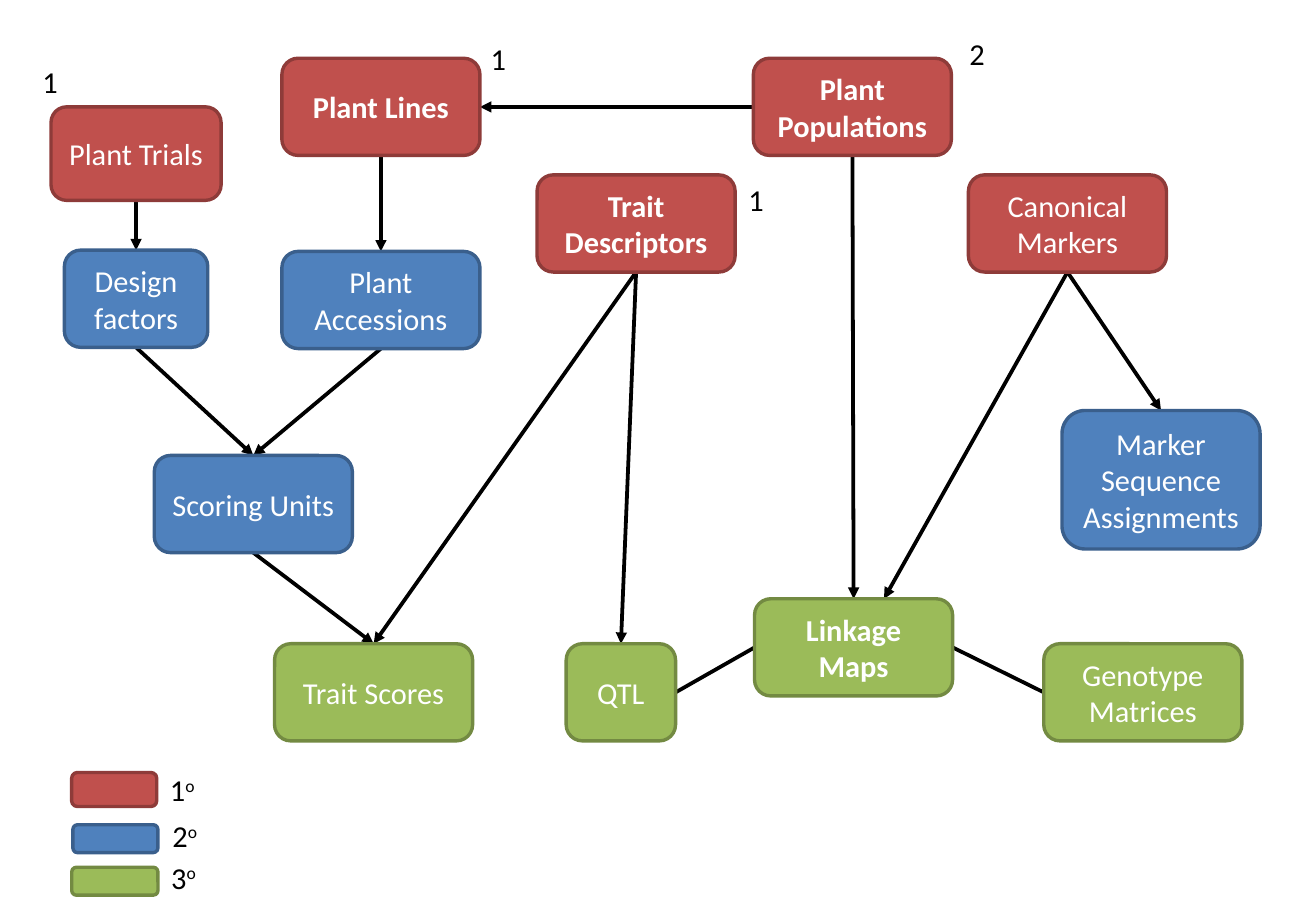
"""Build a slide of plant data entities, graded by level and linked by arrows."""
from dataclasses import dataclass
from enum import IntEnum

import pptx
import pptx.dml.color
import pptx.enum.shapes
import pptx.enum.text
import pptx.oxml
import pptx.oxml.ns
import pptx.shapes.autoshape
import pptx.shapes.connector
import pptx.slide
import pptx.text.text
import pptx.util

EMU_PER_PX = 9144
FONT_NAME = "Calibri"
FONT_SIZE = pptx.util.Pt(18)
BLACK = pptx.dml.color.RGBColor(0x00, 0x00, 0x00)
WHITE = pptx.dml.color.RGBColor(0xFF, 0xFF, 0xFF)
RED = pptx.dml.color.RGBColor(0xC0, 0x50, 0x4D)
DARK_RED = pptx.dml.color.RGBColor(0x8E, 0x3B, 0x39)
BLUE = pptx.dml.color.RGBColor(0x4F, 0x81, 0xBD)
DARK_BLUE = pptx.dml.color.RGBColor(0x3A, 0x5F, 0x8C)
GREEN = pptx.dml.color.RGBColor(0x9B, 0xBB, 0x59)
DARK_GREEN = pptx.dml.color.RGBColor(0x73, 0x8A, 0x42)


class Site(IntEnum):
    TOP = 0
    LEFT = 1
    BOTTOM = 2
    RIGHT = 3


@dataclass(frozen=True)
class Level:
    fill: pptx.dml.color.RGBColor
    outline: pptx.dml.color.RGBColor


@dataclass(frozen=True)
class Box:
    text: str
    level: Level
    left: int
    top: int
    width: int = 163
    height: int = 80
    bold: bool = False


@dataclass(frozen=True)
class Link:
    source: str
    target: str
    source_site: Site = Site.BOTTOM
    target_site: Site = Site.TOP
    arrow: bool = True
    shift: int = 0


@dataclass(frozen=True)
class Label:
    text: str
    left: int
    top: int
    width: int = 33
    superscript: str = ""


PRIMARY = Level(RED, DARK_RED)
SECONDARY = Level(BLUE, DARK_BLUE)
TERTIARY = Level(GREEN, DARK_GREEN)

ENTITIES = [
    Box("Plant Lines", PRIMARY, 232, 48, bold=True),
    Box("Plant Populations", PRIMARY, 620, 48, bold=True),
    Box("Linkage Maps", TERTIARY, 621, 493, bold=True),
    Box("Canonical Markers", PRIMARY, 797, 144),
    Box("Trait Descriptors", PRIMARY, 442, 144, bold=True),
    Box("Plant Trials", PRIMARY, 42, 88, 140, 77),
    Box("Marker Sequence Assignments", SECONDARY, 874, 338, height=114),
    Box("Plant Accessions", SECONDARY, 232, 207),
    Box("Design factors", SECONDARY, 53, 206, 118),
    Box("QTL", TERTIARY, 466, 530, 90),
    Box("Scoring Units", SECONDARY, 127, 375),
    Box("Trait Scores", TERTIARY, 226, 530),
    Box("Genotype Matrices", TERTIARY, 859, 530),
]
LEGEND = [
    Box("", PRIMARY, 59, 636, 70, 28),
    Box("", SECONDARY, 60, 679, 70, 23),
    Box("", TERTIARY, 59, 714, 71, 23),
]
LINKS = [
    Link("Plant Populations", "Plant Lines", Site.LEFT, Site.RIGHT),
    Link("Plant Lines", "Plant Accessions"),
    Link("Plant Accessions", "Scoring Units"),
    Link("Plant Trials", "Design factors"),
    Link("Trait Descriptors", "Trait Scores"),
    Link("Trait Descriptors", "QTL"),
    Link("Plant Populations", "Linkage Maps"),
    Link("Linkage Maps", "QTL", Site.LEFT, Site.RIGHT, arrow=False),
    Link("Canonical Markers", "Linkage Maps", shift=25),
    Link("Design factors", "Scoring Units"),
    Link("Scoring Units", "Trait Scores"),
    Link("Canonical Markers", "Marker Sequence Assignments"),
    Link("Linkage Maps", "Genotype Matrices", Site.RIGHT, Site.LEFT, arrow=False),
]
LABELS = [
    Label("1", 130, 630, 42, "o"),
    Label("2", 132, 668, 42, "o"),
    Label("3", 131, 702, 42, "o"),
    Label("1", 25, 47),
    Label("1", 394, 28),
    Label("2", 788, 24),
    Label("1", 606, 144),
]


def px(length: int) -> pptx.util.Emu:
    return pptx.util.Emu(length * EMU_PER_PX)


def add_run(paragraph: pptx.text.text._Paragraph, text: str,
            color: pptx.dml.color.RGBColor, bold: bool = False) -> pptx.text.text._Run:
    run = paragraph.add_run()
    run.text = text
    run.font.name = FONT_NAME
    run.font.size = FONT_SIZE
    run.font.bold = bold
    run.font.color.rgb = color
    return run


def add_box(slide: pptx.slide.Slide, box: Box) -> pptx.shapes.autoshape.Shape:
    shape = slide.shapes.add_shape(
        pptx.enum.shapes.MSO_SHAPE.ROUNDED_RECTANGLE,
        px(box.left), px(box.top), px(box.width), px(box.height))
    shape.shadow.inherit = False
    shape.fill.solid()
    shape.fill.fore_color.rgb = box.level.fill
    shape.line.color.rgb = box.level.outline
    shape.line.width = pptx.util.Pt(2)
    if box.text:
        shape.text_frame.vertical_anchor = pptx.enum.text.MSO_ANCHOR.MIDDLE
        paragraph = shape.text_frame.paragraphs[0]
        paragraph.alignment = pptx.enum.text.PP_ALIGN.CENTER
        add_run(paragraph, box.text, WHITE, box.bold)
    return shape


def add_link(slide: pptx.slide.Slide, link: Link,
             shapes: dict[str, pptx.shapes.autoshape.Shape]) -> None:
    connector = slide.shapes.add_connector(
        pptx.enum.shapes.MSO_CONNECTOR.STRAIGHT, 0, 0, 0, 0)
    target = shapes[link.target]
    connector.begin_connect(shapes[link.source], link.source_site)
    if link.shift:
        connector.end_x = target.left + target.width // 2 + px(link.shift)
        connector.end_y = target.top
    else:
        connector.end_connect(target, link.target_site)
    connector.line.color.rgb = BLACK
    connector.line.width = pptx.util.Pt(2.25)
    properties = connector.element.spPr
    if link.arrow:
        tail = pptx.oxml.parse_xml(
            f'<a:tailEnd {pptx.oxml.ns.nsdecls("a")} type="triangle"/>')
        properties.find(pptx.oxml.ns.qn("a:ln")).append(tail)
    properties.append(pptx.oxml.parse_xml(
        f'<a:effectLst {pptx.oxml.ns.nsdecls("a")}/>'))
    slide.shapes.element.insert(2, connector.element)


def add_label(slide: pptx.slide.Slide, label: Label) -> None:
    text_box = slide.shapes.add_textbox(
        px(label.left), px(label.top), px(label.width), px(40))
    text_box.text_frame.word_wrap = False
    text_box.text_frame.auto_size = pptx.enum.text.MSO_AUTO_SIZE.SHAPE_TO_FIT_TEXT
    paragraph = text_box.text_frame.paragraphs[0]
    add_run(paragraph, label.text, BLACK)
    if label.superscript:
        run = add_run(paragraph, label.superscript, BLACK)
        run._r.get_or_add_rPr().set("baseline", "30000")


def main() -> None:
    presentation = pptx.Presentation()
    presentation.slide_width = px(1083)
    presentation.slide_height = px(750)
    slide = presentation.slides.add_slide(presentation.slide_layouts[6])
    shapes = {box.text: add_box(slide, box) for box in ENTITIES}
    for box in LEGEND:
        add_box(slide, box)
    for link in LINKS:
        add_link(slide, link, shapes)
    for label in LABELS:
        add_label(slide, label)
    presentation.save("out.pptx")


if __name__ == "__main__":
    main()
